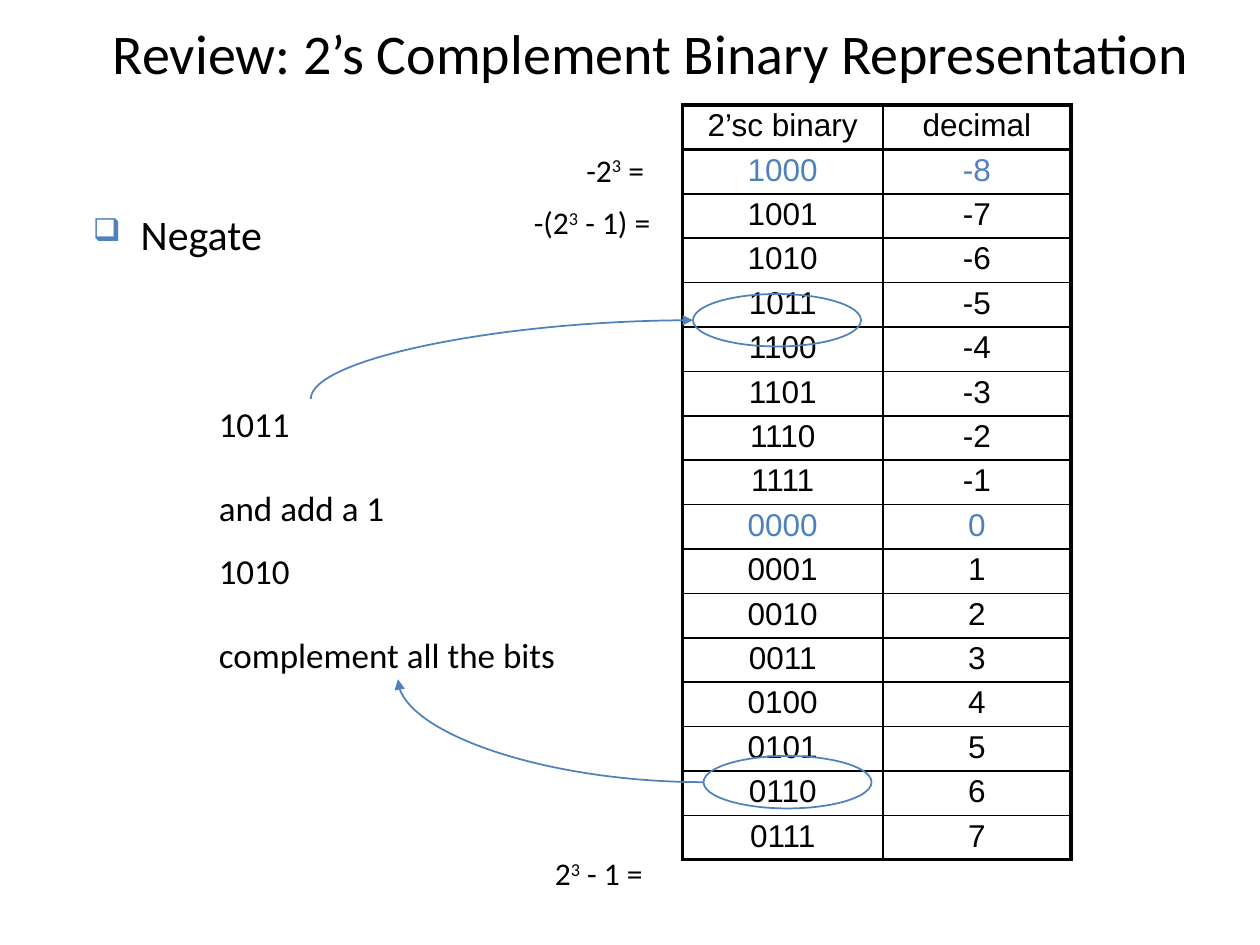
from dataclasses import dataclass

from lxml.etree import SubElement
from pptx import Presentation
from pptx.dml.color import RGBColor
from pptx.enum.shapes import MSO_CONNECTOR as Connector, MSO_SHAPE as Preset
from pptx.enum.text import MSO_ANCHOR as Anchor, PP_ALIGN as Align
from pptx.oxml.ns import qn
from pptx.util import Inches, Pt


@dataclass(frozen=True)
class Theme:
    text: str = "000000"
    accent: str = "4F81BD"
    font: str = "Calibri"
    table_font: str = "Arial"
    title_size: int = 32
    bullet_size: int = 24
    step_size: int = 20
    small_size: int = 18
    thin: float = 1
    thick: float = 2.25


@dataclass(frozen=True)
class Box:
    column: float
    row: float
    columns: float
    rows: float

    def lengths(self):
        return [units(n) for n in (self.column, self.row, self.columns, self.rows)]


THEME = Theme()
GRID_PER_INCH = 12
BITS = 4


def units(count):
    return Inches(count / GRID_PER_INCH)


def style(paragraph, size, font=THEME.font, color=THEME.text):
    paragraph.font.size = Pt(size)
    paragraph.font.name = font
    paragraph.font.color.rgb = RGBColor.from_string(color)


def add_text_frame(shapes, box, wrap=False):
    frame = shapes.add_textbox(*box.lengths()).text_frame
    frame.word_wrap = wrap
    frame.margin_left = frame.margin_right = Inches(0.07)
    frame.margin_top = frame.margin_bottom = Inches(0.03)
    return frame


def add_title(slide, box):
    frame = add_text_frame(slide.shapes, box, wrap=True)
    frame.vertical_anchor = Anchor.MIDDLE
    paragraph = frame.paragraphs[0]
    paragraph.text = "Review: 2’s Complement Binary Representation"
    paragraph.alignment = Align.CENTER
    style(paragraph, THEME.title_size)


def add_bullet(slide, box, text):
    paragraph = add_text_frame(slide.shapes, box, wrap=True).paragraphs[0]
    paragraph.text = text
    paragraph.line_spacing = 0.9
    properties = paragraph._p.get_or_add_pPr()
    properties.set("marL", str(Inches(0.38)))
    properties.set("indent", str(-Inches(0.38)))
    bullet_color = SubElement(properties, qn("a:buClr"))
    SubElement(bullet_color, qn("a:srgbClr"), val=THEME.accent)
    SubElement(properties, qn("a:buSzPct"), val="75000")
    SubElement(properties, qn("a:buChar"), char="❑")
    style(paragraph, THEME.bullet_size)


def add_power_label(slide, box, before, after):
    paragraph = add_text_frame(slide.shapes, box).paragraphs[0]
    for text in (before, "3", after):
        paragraph.add_run().text = text
    paragraph.runs[1].font._element.set("baseline", "30000")
    style(paragraph, THEME.small_size)


def set_borders(cell, widths):
    properties = cell._tc.get_or_add_tcPr()
    for side, width in zip("LRTB", widths):
        line = SubElement(properties, qn(f"a:ln{side}"), w=str(Pt(width)))
        fill = SubElement(line, qn("a:solidFill"))
        SubElement(fill, qn("a:srgbClr"), val=THEME.text)


def add_number_table(slide, box):
    half = 2 ** (BITS - 1)
    numbers = [(f"{n % (2 * half):0{BITS}b}", str(n)) for n in range(-half, half)]
    rows = [("2’sc binary", "decimal")] + numbers
    last = len(rows) - 1
    table = slide.shapes.add_table(len(rows), 2, *box.lengths()).table
    table.first_row = table.horz_banding = False
    for column, share in zip(table.columns, (0.516, 0.484)):
        column.width = units(box.columns * share)
    for r, values in enumerate(rows):
        table.rows[r].height = units(box.rows / len(rows))
        color = THEME.accent if values[1] in (str(-half), "0") else THEME.text
        for c, value in enumerate(values):
            cell = table.cell(r, c)
            heavy = (c == 0, c == 1, r <= 1, r in (0, last))
            set_borders(cell, [THEME.thick if h else THEME.thin for h in heavy])
            cell.fill.background()
            cell.margin_top = cell.margin_bottom = Inches(0.04)
            cell.vertical_anchor = Anchor.MIDDLE
            paragraph = cell.text_frame.paragraphs[0]
            paragraph.text = value
            paragraph.alignment = Align.CENTER
            paragraph.line_spacing = 0.9
            style(paragraph, THEME.small_size, THEME.table_font, color)


def outline(shape):
    shape.line.color.rgb = RGBColor.from_string(THEME.accent)
    shape.line.width = Pt(THEME.thin)


def add_step(slide, box, lines, ring_box, bend, arrow_end):
    shapes = slide.shapes.add_group_shape().shapes
    frame = add_text_frame(shapes, box)
    frame.text = "\n".join(lines)
    for paragraph in frame.paragraphs:
        style(paragraph, THEME.step_size)
    frame.paragraphs[1].space_before = Pt(24)

    start = (ring_box.column, ring_box.row + ring_box.rows / 2)
    end = (box.column + bend[0], box.row + bend[1])
    arrow = shapes.add_connector(Connector.CURVE, *map(units, start + end))
    outline(arrow)
    properties = arrow._element.spPr
    properties.find(qn("a:prstGeom")).set("prst", "curvedConnector2")
    SubElement(arrow.line._get_or_add_ln(), qn(f"a:{arrow_end}"), type="triangle")
    SubElement(properties, qn("a:effectLst"))

    ring = shapes.add_shape(Preset.OVAL, *ring_box.lengths())
    ring.shadow.inherit = False
    ring.fill.background()
    outline(ring)


def main():
    presentation = Presentation()
    presentation.slide_width = units(120)
    presentation.slide_height = units(90)
    slide = presentation.slides.add_slide(presentation.slide_layouts[6])

    add_title(slide, Box(7, 2.25, 110, 5.5))
    add_number_table(slide, Box(65, 10, 37, 71.9))
    add_power_label(slide, Box(52, 81, 11.4, 4.3), "2", " - 1 =")
    add_power_label(slide, Box(50, 19, 14.4, 4.3), "-(2", " - 1) =")
    add_power_label(slide, Box(55, 14, 8.9, 4.3), "-2", " =")
    add_step(slide, Box(20, 52, 35.8, 12.7), ("1010", "complement all the bits"),
             Box(67, 72, 16, 5), (17.9, 12.7), "tailEnd")
    add_step(slide, Box(20, 38, 19.2, 12.7), ("1011", "and add a 1"),
             Box(66, 28, 16, 5), (9.6, 0), "headEnd")
    add_bullet(slide, Box(8, 20, 22, 4.9), "Negate")
    presentation.save("out.pptx")


if __name__ == "__main__":
    main()
